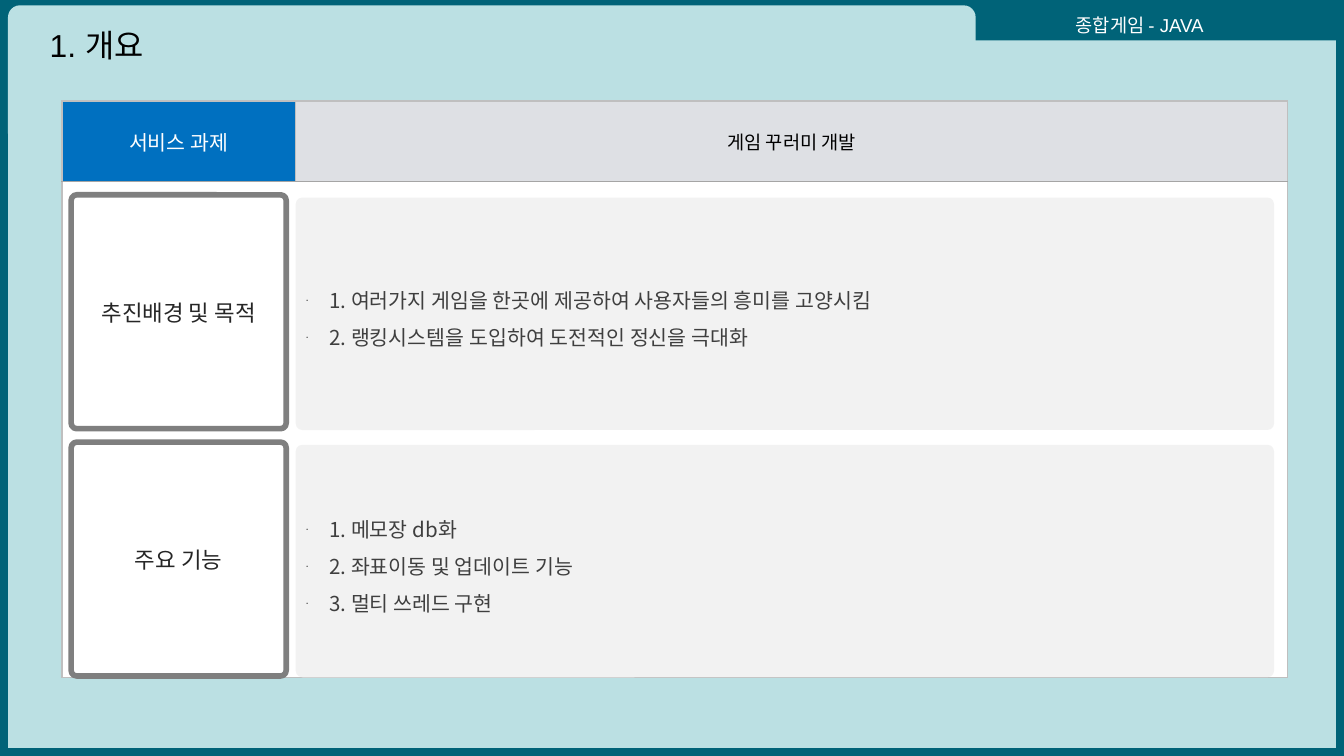
from dataclasses import dataclass

import pptx
import pptx.dml.color
import pptx.enum.shapes
import pptx.enum.text
import pptx.oxml.xmlchemy
import pptx.oxml.ns
import pptx.util
from lxml import etree

Inches, Pt = pptx.util.Inches, pptx.util.Pt
RGBColor = pptx.dml.color.RGBColor
Shape = pptx.enum.shapes.MSO_SHAPE
Align = pptx.enum.text.PP_ALIGN
Anchor = pptx.enum.text.MSO_ANCHOR
qn = pptx.oxml.ns.qn

TITLE = "1. 개요"
COURSE = "종합게임 - JAVA"
TABLE_HEADER = ("서비스 과제", "게임 꾸러미 개발")
SECTIONS = [
    ("추진배경 및 목적", [
        "1. 여러가지 게임을 한곳에 제공하여 사용자들의 흥미를 고양시킴",
        "2. 랭킹시스템을 도입하여 도전적인 정신을 극대화",
    ]),
    ("주요 기능", [
        "1. 메모장 db화",
        "2. 좌표이동 및 업데이트 기능",
        "3. 멀티 쓰레드 구현",
    ]),
]


@dataclass(frozen=True)
class Theme:
    frame: str = "006378"
    page: str = "BBE0E3"
    white: str = "FFFFFF"
    black: str = "000000"
    header_key: str = "0070C0"
    header_value: str = "DEE0E4"
    panel: str = "F2F2F2"
    label_line: str = "7F7F7F"
    label_text: str = "262626"
    body_text: str = "3F3F3F"
    border: str = "BFBFBF"
    divider: str = "A5A5A5"
    latin: str = "Arial"
    korean: str = "Noto Sans CJK KR"
    title_size: int = 17
    label_size: int = 12
    body_size: int = 11
    small_size: int = 10


THEME = Theme()
WIDTH, HEIGHT = 10, 10 * 9 / 16
MARGIN = 0.06
TABLE_LEFT, TABLE_TOP = 0.46, 0.75
COLUMNS, ROWS = (1.74, 7.38), (0.6, 3.69)
SECTION_TOP, SECTION_PITCH = 1.45, 1.84
LABEL_LEFT, LABEL_WIDTH, LABEL_HEIGHT = 0.53, 1.6, 1.74
PANEL_LEFT, PANEL_WIDTH, PANEL_HEIGHT = 2.2, 7.28, 1.73
TEXT_INSETS = (0.09, 0.04)


def box(left, top, width, height):
    return [Inches(value) for value in (left, top, width, height)]


def add_box(slide, kind, place, fill, radius=None):
    shape = slide.shapes.add_shape(kind, *box(*place))
    shape.shadow.inherit = False
    shape.fill.solid()
    shape.fill.fore_color.rgb = RGBColor.from_string(fill)
    shape.line.fill.background()
    if radius is not None:
        shape.adjustments[0] = radius
    return shape


def add_bullet(paragraph):
    """Give the paragraph a small hanging bullet."""
    properties = paragraph._p.get_or_add_pPr()
    properties.set("marL", str(Inches(0.17)))
    properties.set("indent", str(-Inches(0.17)))
    color = etree.SubElement(properties, qn("a:buClr"))
    etree.SubElement(color, qn("a:srgbClr"), val=THEME.body_text)
    etree.SubElement(properties, qn("a:buSzPct"), val="25000")
    etree.SubElement(properties, qn("a:buFont"), typeface=THEME.latin)
    etree.SubElement(properties, qn("a:buChar"), char="•")


def write(frame, lines, size, color, font=THEME.korean, align=Align.LEFT,
          anchor=Anchor.MIDDLE, insets=TEXT_INSETS, spacing=None, bullets=False):
    frame.word_wrap = True
    frame.vertical_anchor = anchor
    frame.margin_left = frame.margin_right = Inches(insets[0])
    frame.margin_top = frame.margin_bottom = Inches(insets[1])
    frame.text = "\n".join(lines)
    for paragraph in frame.paragraphs:
        if bullets:
            add_bullet(paragraph)
        paragraph.alignment = align
        if spacing:
            paragraph.line_spacing = spacing
        paragraph.font.size = Pt(size)
        paragraph.font.color.rgb = RGBColor.from_string(color)
        paragraph.font.name = font
        properties = paragraph._p.pPr.find(qn("a:defRPr"))
        etree.SubElement(properties, qn("a:ea"), typeface=THEME.korean)


def style_cell(cell, fill, top, bottom):
    """Draw the four borders, then fill the cell."""
    properties = cell._tc.get_or_add_tcPr()
    sides = {"L": THEME.border, "R": THEME.border, "T": top, "B": bottom}
    for side, color in sides.items():
        line = etree.SubElement(properties, qn(f"a:ln{side}"), w=str(Pt(1)))
        solid = etree.SubElement(line, qn("a:solidFill"))
        etree.SubElement(solid, qn("a:srgbClr"), val=color)
    cell.fill.solid()
    cell.fill.fore_color.rgb = RGBColor.from_string(fill)


def add_page(slide):
    add_box(slide, Shape.RECTANGLE, (0, 0, WIDTH, HEIGHT), THEME.frame)
    course = slide.shapes.add_textbox(*box(6.96, 0.06, 3.04, 0.26))
    write(course.text_frame, [COURSE], THEME.small_size, THEME.white, THEME.latin,
          Align.CENTER, Anchor.TOP)
    add_box(slide, Shape.ROUNDED_RECTANGLE, (MARGIN, 0.04, 7.2, 1.04), THEME.page, 0.085)
    add_box(slide, Shape.RECTANGLE,
            (MARGIN, 0.3, WIDTH - 2 * MARGIN, HEIGHT - MARGIN - 0.3), THEME.page)


def place_title(slide):
    title = slide.shapes.title
    title.left, title.top, title.width, title.height = box(0.28, 0.15, 1.99, 0.37)
    write(title.text_frame, [TITLE], THEME.title_size, THEME.black, THEME.latin,
          anchor=Anchor.TOP)
    title.element.getparent().append(title.element)  # in front of the page


def add_overview_table(slide):
    place = box(TABLE_LEFT, TABLE_TOP, sum(COLUMNS), sum(ROWS))
    table = slide.shapes.add_table(len(ROWS), len(COLUMNS), *place).table
    table.first_row = table.horz_banding = False
    for column, width in zip(table.columns, COLUMNS):
        column.width = Inches(width)
    for row, height in zip(table.rows, ROWS):
        row.height = Inches(height)
    styles = [(THEME.header_key, THEME.white, THEME.body_size, THEME.latin),
              (THEME.header_value, THEME.black, THEME.small_size, THEME.korean)]
    for index, (text, (fill, color, size, font)) in enumerate(zip(TABLE_HEADER, styles)):
        cell = table.cell(0, index)
        style_cell(cell, fill, THEME.border, THEME.divider)
        cell.vertical_anchor = Anchor.MIDDLE
        write(cell.text_frame, [text], size, color, font, Align.CENTER)
        cell.margin_left = cell.margin_right = Inches(TEXT_INSETS[0])
        cell.margin_top = cell.margin_bottom = Inches(TEXT_INSETS[1])
        style_cell(table.cell(1, index), THEME.white, THEME.divider, THEME.border)
    table.cell(1, 0).merge(table.cell(1, 1))


def add_section(slide, top, label, lines):
    add_box(slide, Shape.ROUNDED_RECTANGLE,
            (PANEL_LEFT, top + 0.02, PANEL_WIDTH, PANEL_HEIGHT), THEME.panel, 0.029)
    body = slide.shapes.add_textbox(*box(PANEL_LEFT + 0.01, top + 0.03, 7.24, 1.7))
    write(body.text_frame, lines, THEME.body_size, THEME.body_text,
          insets=(0.07, 0.1), spacing=1.5, bullets=True)
    card = add_box(slide, Shape.ROUNDED_RECTANGLE,
                   (LABEL_LEFT, top, LABEL_WIDTH, LABEL_HEIGHT), THEME.white, 0.026)
    card.line.color.rgb = RGBColor.from_string(THEME.label_line)
    card.line.width = Pt(3)
    write(card.text_frame, [label], THEME.label_size, THEME.label_text,
          align=Align.CENTER, insets=(0, 0), spacing=1.07)


def main():
    presentation = pptx.Presentation()
    presentation.slide_width, presentation.slide_height = Inches(WIDTH), Inches(HEIGHT)
    slide = presentation.slides.add_slide(presentation.slide_layouts[5])
    add_page(slide)
    place_title(slide)
    add_overview_table(slide)
    for index, (label, lines) in enumerate(SECTIONS):
        add_section(slide, SECTION_TOP + index * SECTION_PITCH, label, lines)
    presentation.save("out.pptx")


if __name__ == "__main__":
    main()
